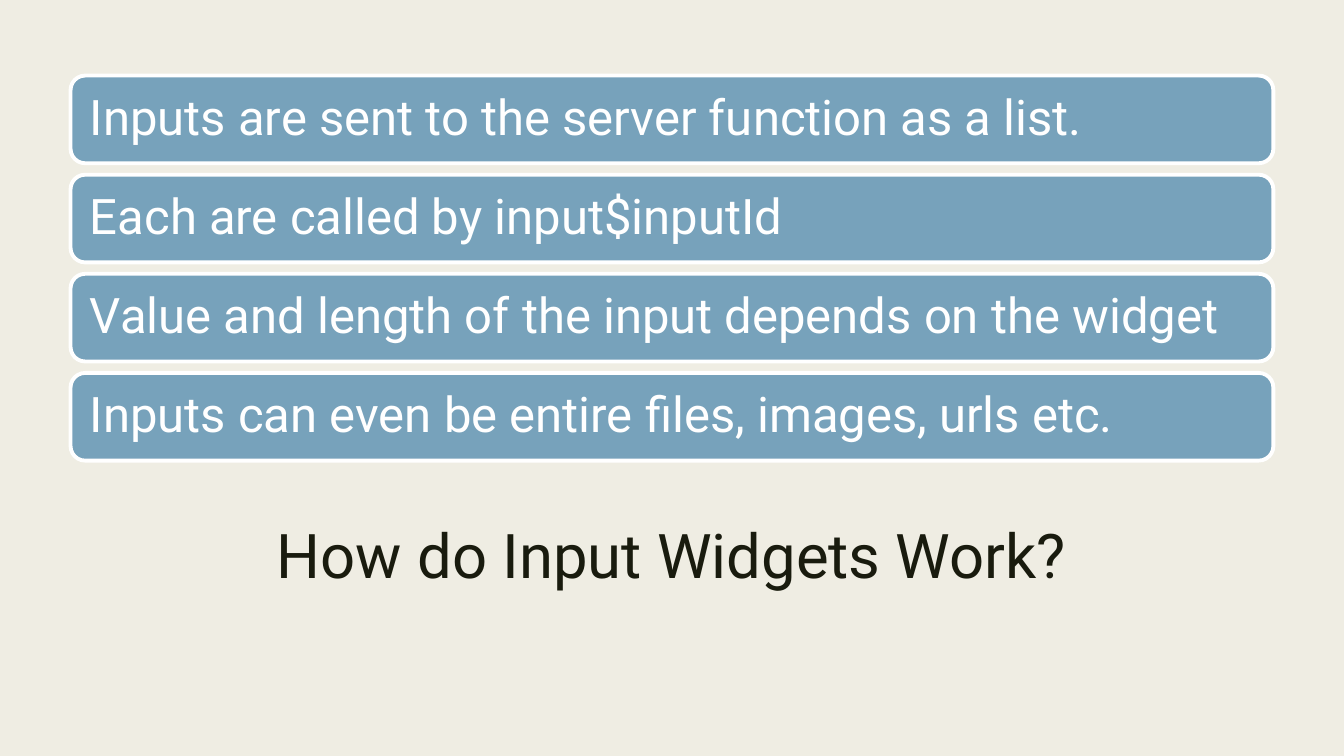
from pptx import Presentation
from pptx.dml.color import RGBColor
from pptx.enum.shapes import MSO_SHAPE
from pptx.enum.text import MSO_ANCHOR, MSO_AUTO_SIZE, PP_ALIGN
from pptx.util import Inches, Pt

ROUNDED = MSO_SHAPE.ROUNDED_RECTANGLE
TOP, MIDDLE = MSO_ANCHOR.TOP, MSO_ANCHOR.MIDDLE
LEFT, CENTER = PP_ALIGN.LEFT, PP_ALIGN.CENTER
NO_AUTOFIT = MSO_AUTO_SIZE.NONE

COLORS = {"background": "EFEDE3", "title": "191B0E", "bar": "77A2BB", "white": "FFFFFF"}
MARGIN, CONTENT_WIDTH = 0.7, 11.93
FIRST_BAR_TOP, LAST_BAR_TOP, BAR_HEIGHT = 0.75, 3.7, 0.87

STATEMENTS = [
    "Inputs are sent to the server function as a list.",
    "Each are called by input$inputId",
    "Value and length of the input depends on the widget",
    "Inputs can even be entire files, images, urls etc.",
]
BAR_PITCH = (LAST_BAR_TOP - FIRST_BAR_TOP) / (len(STATEMENTS) - 1)


class SlideBuilder:
    """Holds the style and the current slide."""

    font = "Roboto"

    def __init__(self, slide):
        self.slide = slide

    def color(self, name):
        return RGBColor.from_string(COLORS[name])

    def background(self, name):
        fill = self.slide.background.fill
        fill.solid()
        fill.fore_color.rgb = self.color(name)

    def set_text(self, shape, text, size, color, align, anchor, spacing):
        frame = shape.text_frame
        frame.text = text
        frame.word_wrap = True
        frame.auto_size = NO_AUTOFIT
        frame.vertical_anchor = anchor
        paragraph = frame.paragraphs[0]
        paragraph.alignment = align
        paragraph.line_spacing = spacing
        for run in paragraph.runs:
            run.font.name = self.font
            run.font.size = Pt(size)
            run.font.color.rgb = self.color(color)

    def title(self, text, left, top, width, height):
        heading = self.slide.shapes.title
        heading.left, heading.top = Inches(left), Inches(top)
        heading.width, heading.height = Inches(width), Inches(height)
        self.set_text(heading, text, 44, "title", CENTER, TOP, 0.89)

    def bar(self, text, left, top, width, height):
        bar = self.slide.shapes.add_shape(
            ROUNDED, Inches(left), Inches(top), Inches(width), Inches(height))
        bar.shadow.inherit = False
        bar.fill.solid()
        bar.fill.fore_color.rgb = self.color("bar")
        bar.line.color.rgb = self.color("white")
        bar.line.width = Pt(2.75)
        frame = bar.text_frame
        frame.margin_left = frame.margin_right = Inches(0.15)
        frame.margin_top = frame.margin_bottom = Inches(0.15)
        self.set_text(bar, text, 35, "white", LEFT, MIDDLE, 0.9)


presentation = Presentation()
presentation.slide_width, presentation.slide_height = Inches(13.33), Inches(7.5)
title_only = presentation.slide_layouts[5]
builder = SlideBuilder(presentation.slides.add_slide(title_only))

# Background and title
builder.background("background")
builder.title("How do Input Widgets Work?", MARGIN, 5.17, CONTENT_WIDTH, 1.62)

# Stacked statement bars
for row, statement in enumerate(STATEMENTS):
    builder.bar(statement, MARGIN, FIRST_BAR_TOP + row * BAR_PITCH, CONTENT_WIDTH, BAR_HEIGHT)

presentation.save("out.pptx")
